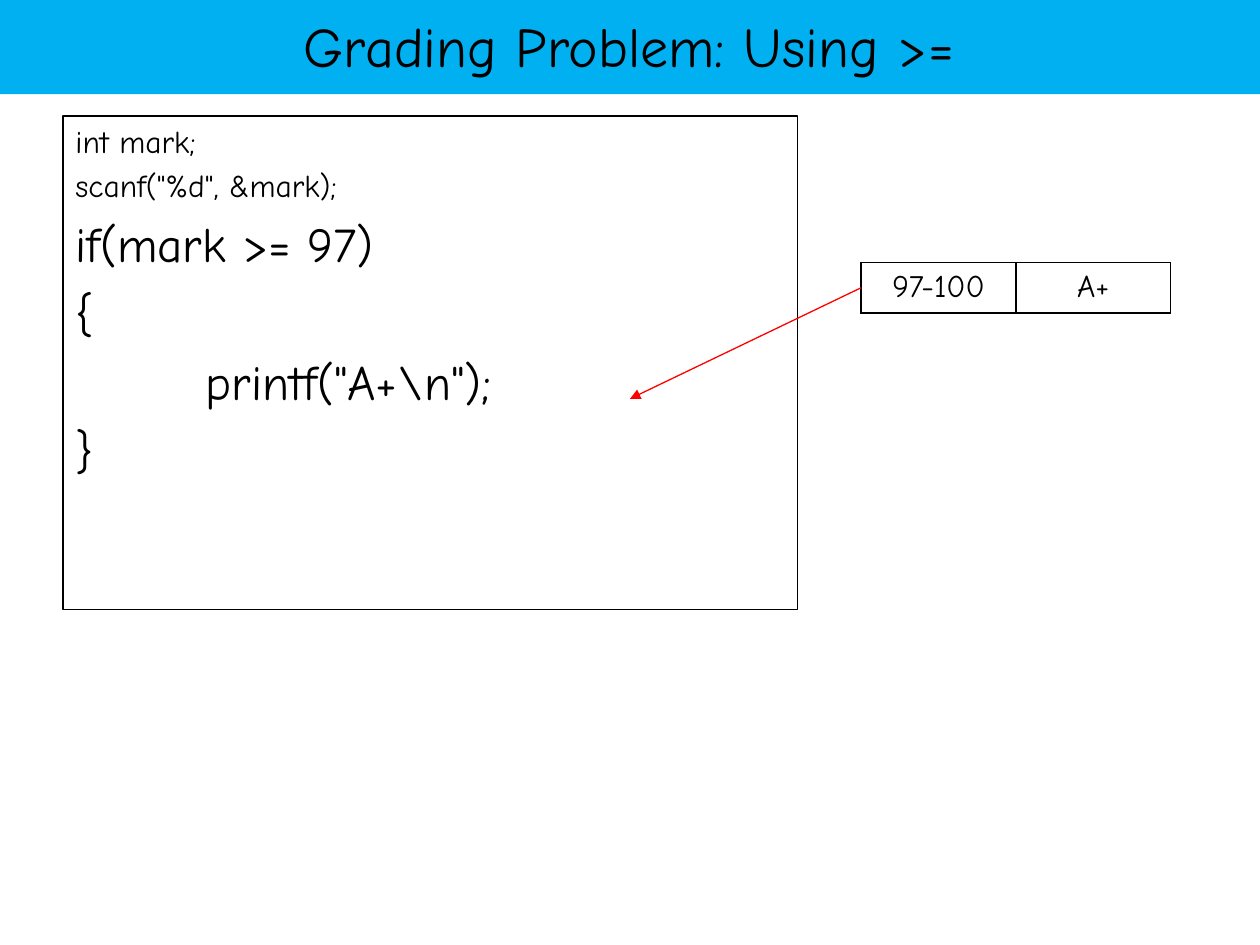
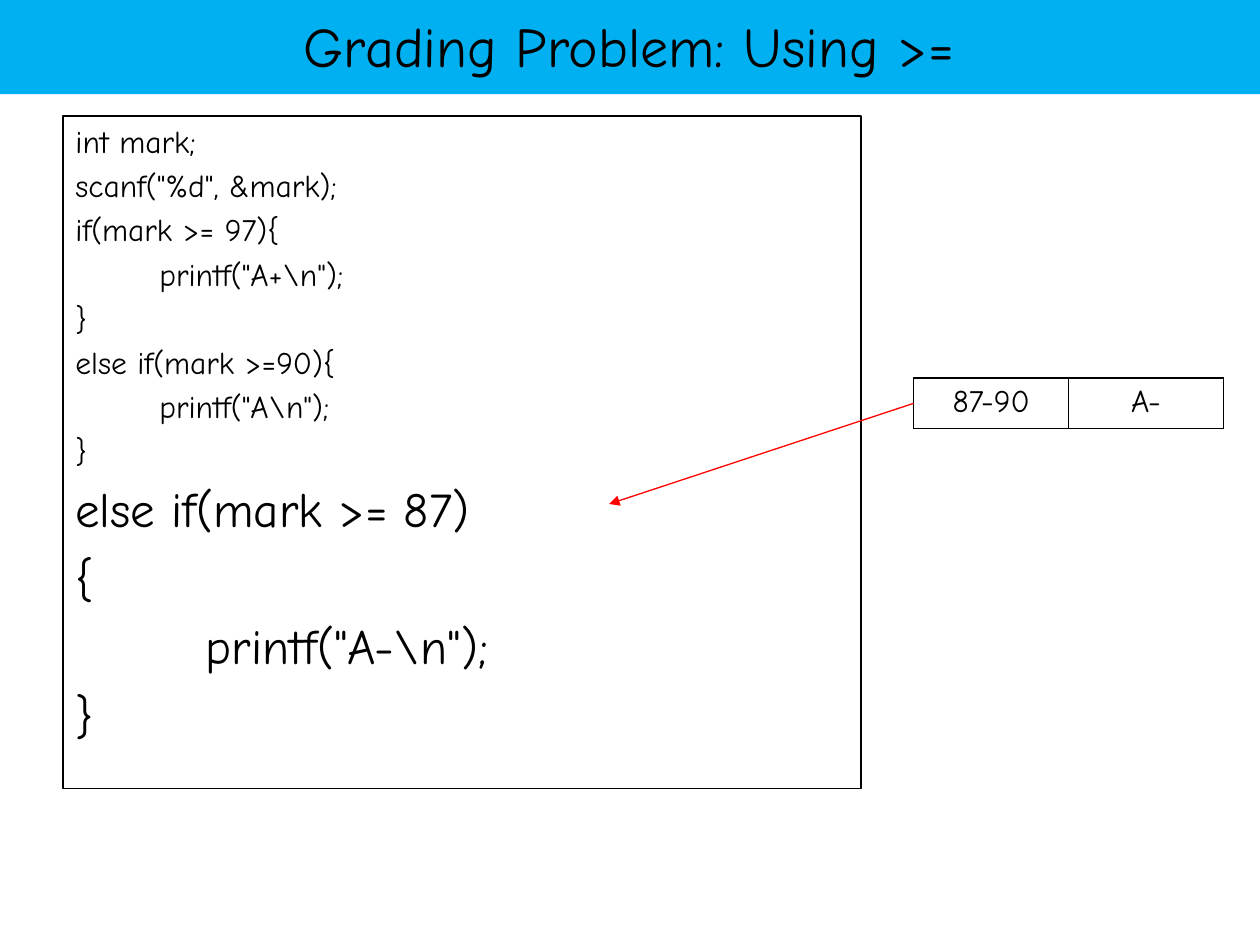
from lxml.etree import SubElement
from pptx import Presentation
from pptx.dml.color import RGBColor
from pptx.enum.shapes import MSO_CONNECTOR as Connector, MSO_SHAPE as Shape
from pptx.enum.text import MSO_ANCHOR as Anchor, PP_ALIGN as Align
from pptx.oxml.ns import qn
from pptx.util import Cm, Pt

FONT = "Comic Neue"
BLACK, RED, BAND = "000000", "FF0000", "00B0F0"
SMALL, LARGE = 18, 28
TITLE = "Grading Problem: Using >="
INDENT_PER_POINT = 0.094  # cm of code indent for each point of text size
ROW_HEIGHT, COLUMN_WIDTH = 1.02, 3.12
CODE_LEFT, CODE_TOP = 1.27, 2.34

# Earlier code is small, the step being explained is large; a tab marks an indented line.
# Lengths are in cm.
STEPS = [
    {
        "earlier": ["int mark;", 'scanf("%d", &mark);'],
        "current": ["if(mark >= 97)", "{", '\tprintf("A+\\n");', "}"],
        "code_size": (14.81, 9.95),
        "grade": ("97-100", "A+"),
        "grade_at": (17.36, 5.29),
        "arrow_tip": (12.7, 8.04),
    },
    {
        "earlier": ["int mark;", 'scanf("%d", &mark);',
                    "if(mark >= 97){", '\tprintf("A+\\n");', "}",
                    "else if(mark >=90){", '\tprintf("A\\n");', "}"],
        "current": ["else if(mark >= 87)", "{", '\tprintf("A-\\n");', "}"],
        "code_size": (16.09, 13.55),
        "grade": ("87-90", "A-"),
        "grade_at": (18.42, 7.62),
        "arrow_tip": (12.28, 10.16),
    },
]


def color(hex_string):
    """Turn a hex string into a colour."""
    return RGBColor.from_string(hex_string)


def write(paragraph, text, size=SMALL, align=Align.LEFT):
    """Put formatted text into a paragraph."""
    paragraph.alignment = align
    run = paragraph.add_run()
    run.text = text
    run.font.name, run.font.size, run.font.bold = FONT, Pt(size), False
    run.font.color.rgb = color(BLACK)


def add_box(slide, left, top, width, height, fill=None, line=None):
    """Add a plain rectangle and return its text frame."""
    box = slide.shapes.add_shape(Shape.RECTANGLE, Cm(left), Cm(top), Cm(width), Cm(height))
    box.shadow.inherit = False
    if fill:
        box.fill.solid()
        box.fill.fore_color.rgb = color(fill)
    else:
        box.fill.background()
    if line:
        box.line.color.rgb = color(line)
        box.line.width = Pt(0.75)
    else:
        box.line.fill.background()
    box.text_frame.word_wrap = True
    return box.text_frame


def add_title(slide):
    """Add the title band shared by all slides."""
    band = add_box(slide, -0.03, -0.08, 25.43, 1.98, fill=BAND)
    band.vertical_anchor = Anchor.MIDDLE
    write(band.paragraphs[0], TITLE, size=32, align=Align.CENTER)


def add_code(slide, step):
    """Add the framed code listing."""
    frame = add_box(slide, CODE_LEFT, CODE_TOP, *step["code_size"], line=BLACK)
    frame.vertical_anchor = Anchor.TOP
    lines = [(text, SMALL) for text in step["earlier"]]
    lines += [(text, LARGE) for text in step["current"]]
    for number, (text, size) in enumerate(lines):
        paragraph = frame.add_paragraph() if number else frame.paragraphs[0]
        write(paragraph, text.lstrip("\t"), size=size)
        properties = paragraph._p.get_or_add_pPr()
        spacing = SubElement(properties, qn("a:spcBef"))
        SubElement(spacing, qn("a:spcPct"), val="20000")
        if text.startswith("\t"):
            properties.set("marL", str(Cm(size * INDENT_PER_POINT)))


def add_borders(cell):
    """Draw a thin black line on each side of a cell."""
    properties = cell._tc.get_or_add_tcPr()
    for position, side in enumerate(("a:lnL", "a:lnR", "a:lnT", "a:lnB")):
        border = properties.makeelement(qn(side), {"w": str(Pt(1))})
        fill = SubElement(border, qn("a:solidFill"))
        SubElement(fill, qn("a:srgbClr"), val=BLACK)
        properties.insert(position, border)


def add_grade(slide, step):
    """Add the one-row table with the mark range and its grade."""
    left, top = step["grade_at"]
    columns = len(step["grade"])
    table = slide.shapes.add_table(1, columns, Cm(left), Cm(top),
                                   Cm(columns * COLUMN_WIDTH), Cm(ROW_HEIGHT)).table
    table.first_row = table.horz_banding = False
    for cell, text in zip(table.rows[0].cells, step["grade"]):
        cell.fill.background()
        add_borders(cell)
        write(cell.text_frame.paragraphs[0], text, align=Align.CENTER)


def add_arrow(slide, step):
    """Point from the grade table to its code."""
    left, top = step["grade_at"]
    tip_x, tip_y = step["arrow_tip"]
    arrow = slide.shapes.add_connector(Connector.STRAIGHT, Cm(left), Cm(top + ROW_HEIGHT / 2),
                                       Cm(tip_x), Cm(tip_y))
    arrow.line.color.rgb = color(RED)
    arrow.line.width = Pt(0.75)
    SubElement(arrow.line._get_or_add_ln(), qn("a:tailEnd"), type="triangle")
    SubElement(arrow._element.spPr, qn("a:effectLst"))


deck = Presentation()
deck.slide_width, deck.slide_height = Cm(25.4), Cm(19.05)
for step in STEPS:
    slide = deck.slides.add_slide(deck.slide_layouts[6])
    add_title(slide)
    add_code(slide, step)
    add_grade(slide, step)
    add_arrow(slide, step)
deck.save("out.pptx")
